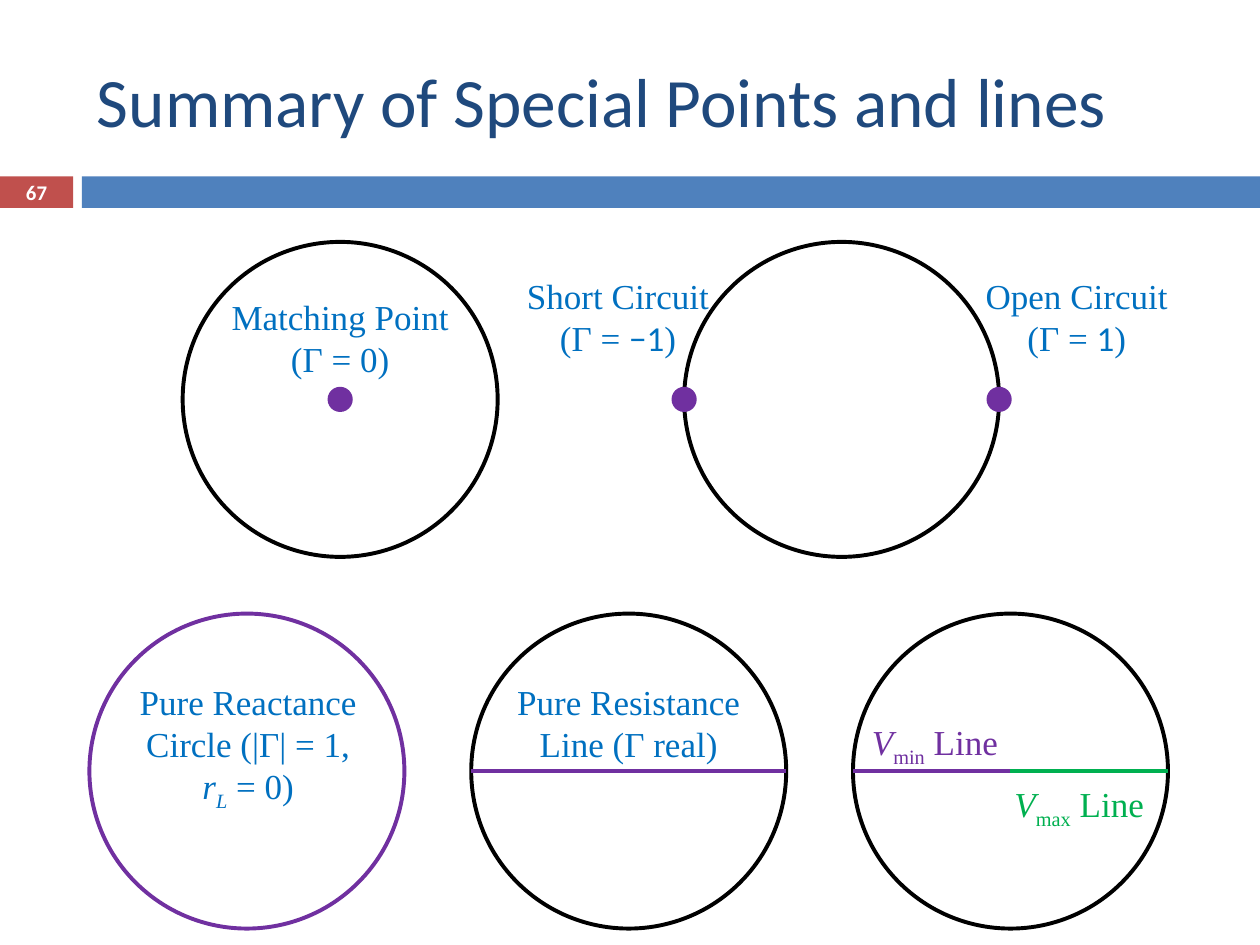
from typing import NamedTuple

from pptx import Presentation
from pptx.dml.color import RGBColor
from pptx.enum import shapes, text
from pptx.oxml import xmlchemy
from pptx.util import Inches, Pt

BLACK = RGBColor(0x00, 0x00, 0x00)
WHITE = RGBColor(0xFF, 0xFF, 0xFF)
NAVY = RGBColor(0x1F, 0x49, 0x7D)
BLUE = RGBColor(0x4F, 0x81, 0xBD)
RED = RGBColor(0xC0, 0x50, 0x4D)
LABEL_BLUE = RGBColor(0x00, 0x70, 0xC0)
PURPLE = RGBColor(0x70, 0x30, 0xA0)
GREEN = RGBColor(0x00, 0xB0, 0x50)

SERIF, SANS = "Times New Roman", "Calibri"
DIAMETER, DOT, STROKE = 2.5, 0.2, 2.25
RADIUS = DIAMETER / 2
TOP_Y, BOTTOM_Y = 3.17, 6.12  # centre heights of the two rows of circles
MATCH_X, CIRCUIT_X = 2.7, 6.68
REACTANCE_X, RESISTANCE_X, VOLTAGE_X = (1.96 + 3.03 * i for i in range(3))


class Phrase(NamedTuple):
    """A stretch of label text with its own font, slant or subscript."""
    words: str
    font: str | None = None
    italic: bool = False
    subscript: bool = False


class Label(NamedTuple):
    left: float
    top: float
    width: float
    height: float
    phrases: list[Phrase]
    color: RGBColor = LABEL_BLUE
    size: float = 20
    font: str = SERIF
    bold: bool = False
    align: text.PP_ALIGN = text.PP_ALIGN.CENTER
    anchor: text.MSO_ANCHOR = text.MSO_ANCHOR.TOP


class Circle(NamedTuple):
    x: float
    y: float
    color: RGBColor = BLACK


class Line(NamedTuple):
    start: float
    end: float
    color: RGBColor


def voltage_line(subscript: str) -> list[Phrase]:
    return [Phrase("V", italic=True), Phrase(subscript, subscript=True), Phrase(" Line")]


BARS = [(0, 0.58, RED), (0.65, 9.35, BLUE)]
CIRCLES = [
    Circle(MATCH_X, TOP_Y),
    Circle(CIRCUIT_X, TOP_Y),
    Circle(REACTANCE_X, BOTTOM_Y, PURPLE),
    Circle(RESISTANCE_X, BOTTOM_Y),
    Circle(VOLTAGE_X, BOTTOM_Y),
]
DOT_CENTRES = [MATCH_X, CIRCUIT_X - RADIUS, CIRCUIT_X + RADIUS]
LINES = [
    Line(RESISTANCE_X + RADIUS, RESISTANCE_X - RADIUS, PURPLE),
    Line(VOLTAGE_X, VOLTAGE_X - RADIUS, PURPLE),
    Line(VOLTAGE_X + RADIUS, VOLTAGE_X, GREEN),
]
LABELS = [
    Label(0.67, 0.25, 8.92, 1.08, [Phrase("Summary of Special Points and lines")],
          NAVY, 39.6, SANS, align=text.PP_ALIGN.LEFT, anchor=text.MSO_ANCHOR.MIDDLE),
    Label(0, 1.39, 0.58, 0.27, [Phrase("67")],
          WHITE, 11.9, SANS, bold=True, anchor=text.MSO_ANCHOR.MIDDLE),
    Label(1.7, 2.3, 2, 0.77, [Phrase("Matching Point (Γ = 0)")]),
    Label(4.05, 2.13, 1.71, 0.77,
          [Phrase("Short Circuit (Γ = "), Phrase("−1", SANS), Phrase(")")]),
    Label(7.69, 2.13, 1.71, 0.77,
          [Phrase("Open Circuit (Γ = "), Phrase("1", SANS), Phrase(")")]),
    Label(0.97, 5.35, 2, 1.11,
          [Phrase("Pure Reactance Circle (|Γ| = 1, "), Phrase("r", italic=True),
           Phrase("L", italic=True, subscript=True), Phrase(" = 0)")]),
    Label(3.99, 5.35, 2, 0.77, [Phrase("Pure Resistance Line (Γ real)")]),
    Label(6.78, 5.67, 1.28, 0.44, voltage_line("min"), PURPLE),
    Label(7.91, 6.16, 1.31, 0.44, voltage_line("max"), GREEN),
]


def add_filled(slide, kind, left: float, top: float, width: float, height: float,
               color: RGBColor) -> None:
    shape = slide.shapes.add_shape(
        kind, Inches(left), Inches(top), Inches(width), Inches(height))
    shape.shadow.inherit = False
    shape.fill.solid()
    shape.fill.fore_color.rgb = color
    shape.line.fill.background()


def add_circle(slide, circle: Circle) -> None:
    ring = slide.shapes.add_shape(
        shapes.MSO_SHAPE.OVAL, Inches(circle.x - RADIUS), Inches(circle.y - RADIUS),
        Inches(DIAMETER), Inches(DIAMETER))
    ring.shadow.inherit = False
    ring.fill.background()
    ring.line.color.rgb = circle.color
    ring.line.width = Pt(STROKE)


def add_line(slide, line: Line) -> None:
    connector = slide.shapes.add_connector(
        shapes.MSO_CONNECTOR.STRAIGHT, Inches(line.start), Inches(BOTTOM_Y),
        Inches(line.end), Inches(BOTTOM_Y))
    connector.line.color.rgb = line.color
    connector.line.width = Pt(STROKE)
    connector._element.spPr.append(xmlchemy.OxmlElement("a:effectLst"))


def add_label(slide, label: Label) -> None:
    box = slide.shapes.add_textbox(
        Inches(label.left), Inches(label.top), Inches(label.width), Inches(label.height))
    frame = box.text_frame
    frame.word_wrap = True
    frame.vertical_anchor = label.anchor
    paragraph = frame.paragraphs[0]
    paragraph.alignment = label.align
    font = paragraph.font
    font.name, font.size, font.bold = label.font, Pt(label.size), label.bold
    font.color.rgb = label.color
    for phrase in label.phrases:
        run = paragraph.add_run()
        run.text = phrase.words
        if phrase.font:
            run.font.name = phrase.font
        if phrase.italic:
            run.font.italic = True
        if phrase.subscript:
            run._r.get_or_add_rPr().set("baseline", "-25000")


def main() -> None:
    deck = Presentation()
    deck.slide_width, deck.slide_height = Inches(10), Inches(7.5)
    slide = deck.slides.add_slide(deck.slide_layouts[6])
    for left, width, color in BARS:
        add_filled(slide, shapes.MSO_SHAPE.RECTANGLE, left, 1.4, width, 0.25, color)
    for circle in CIRCLES:
        add_circle(slide, circle)
    for x in DOT_CENTRES:
        add_filled(slide, shapes.MSO_SHAPE.OVAL, x - DOT / 2, TOP_Y - DOT / 2,
                   DOT, DOT, PURPLE)
    for line in LINES:
        add_line(slide, line)
    for label in LABELS:
        add_label(slide, label)
    deck.save("out.pptx")


if __name__ == "__main__":
    main()
